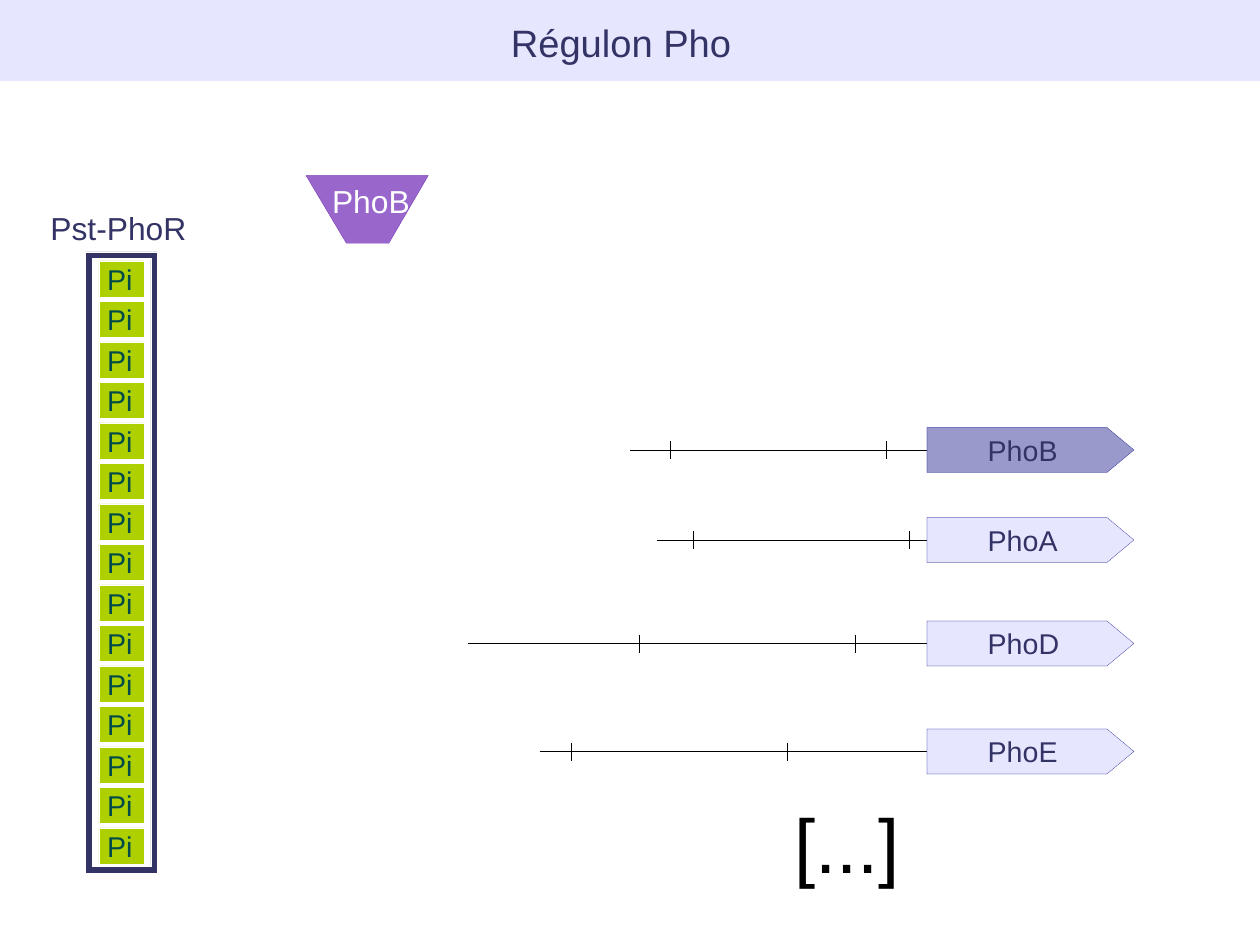
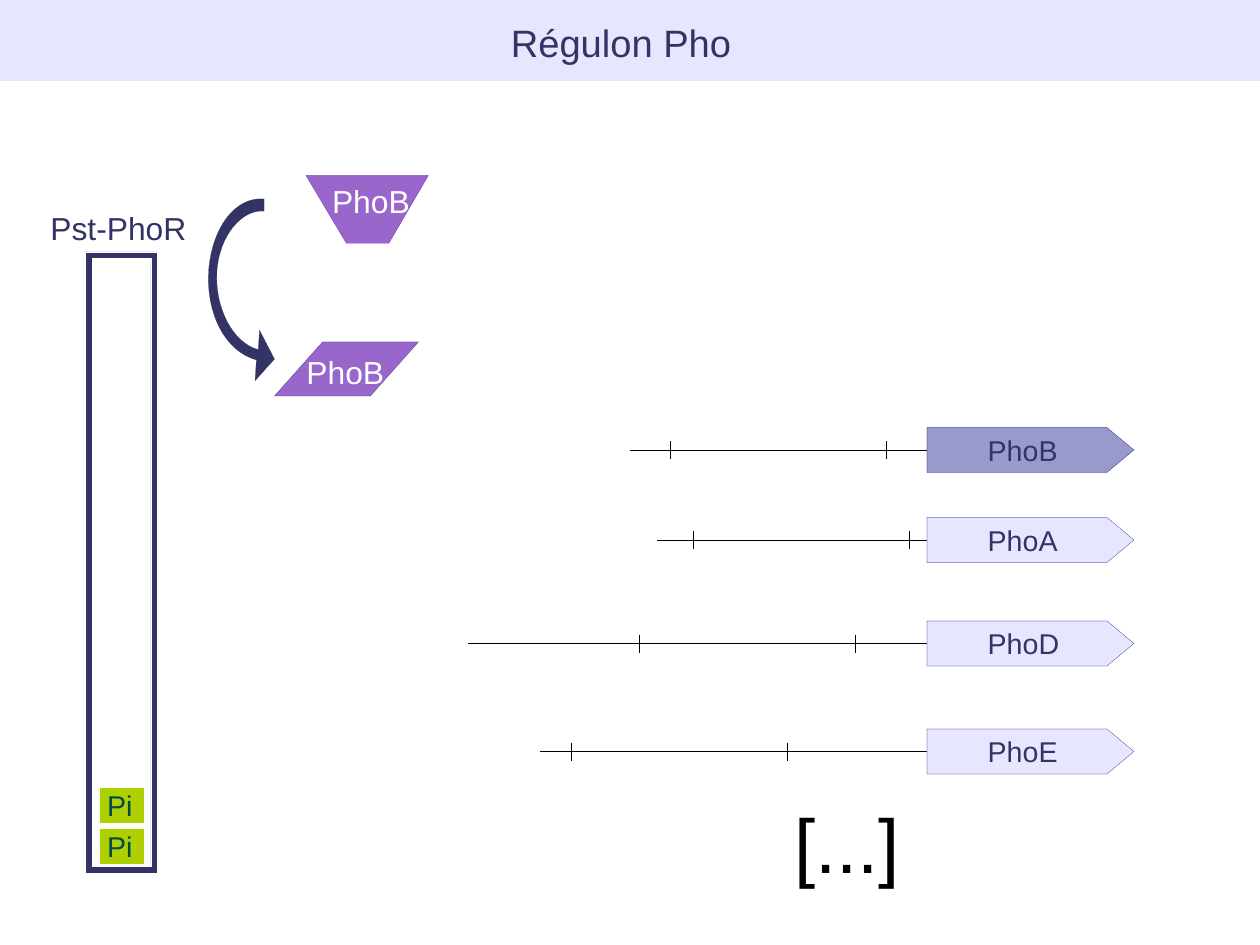
import pptx
import pptx.util
import pptx.dml.color
import pptx.enum.shapes
import pptx.enum.text
import lxml.etree

NAVY, PALE, WHITE, BLACK = "333366", "E6E6FF", "FFFFFF", "000000"
VIOLET, PLUM, LIME, TEAL = "9966CC", "5E11A6", "AECF00", "004A4A"
BLUE, DUSK = "000080", "9999CC"
KIND = pptx.enum.shapes.MSO_SHAPE
ALIGN = pptx.enum.text.PP_ALIGN
ANCHOR = pptx.enum.text.MSO_ANCHOR
HAIR = pptx.util.Pt(0.1)
NS = "{http://schemas.openxmlformats.org/drawingml/2006/main}"


def hue(code):
    return pptx.dml.color.RGBColor.from_string(code)


def dress(shape, text, size, ink, fill=None, edge=None, pad=(0, 0, 0, 0),
          wrap=True, anchor=ANCHOR.MIDDLE, align=ALIGN.LEFT):
    if fill:
        shape.shadow.inherit = False
        shape.fill.solid()
        shape.fill.fore_color.rgb = hue(fill)
    if edge:
        shape.line.color.rgb = hue(edge)
        shape.line.width = HAIR
    if text:
        frame = shape.text_frame
        frame.text = text
        frame.word_wrap = wrap
        frame.vertical_anchor = anchor
        frame.margin_left, frame.margin_top, frame.margin_right, frame.margin_bottom = [
            round(gap * col) for gap in pad]
        line = frame.paragraphs[0]
        line.alignment = align
        font = line.runs[0].font
        font.name, font.size = "Arial", pptx.util.Pt(size)
        font.color.rgb = hue(ink)


deck = pptx.Presentation()
deck.slide_width = pptx.util.Cm(28)
deck.slide_height = pptx.util.Cm(21)
col = deck.slide_width / 28
row = deck.slide_height / 21

plan = deck.slide_layouts.get_by_name("Title Only")
band = plan.placeholders[0]
band.left, band.top, band.width, band.height = 0, 0, deck.slide_width, round(1.8 * row)
band.fill.solid()
band.fill.fore_color.rgb = hue(PALE)
band.text_frame.auto_size = pptx.enum.text.MSO_AUTO_SIZE.NONE

genes = [
    ("PhoB", 10, 14, 14.9, DUSK),
    ("PhoA", 12, 14.6, 15.4, PALE),
    ("PhoD", 14.3, 10.4, 14.2, PALE),
    ("PhoE", 16.7, 12, 12.7, PALE),
]
gene_x, gene_w, span, tick = 20.6, 4.6, 4.8, 0.2
cup = [(6.8, 3.9), (9.52, 3.9), (8.64, 5.41), (7.7, 5.41)]
bend = [
    [(5.74, 7.77)],
    [(5.18, 7.62), (4.78, 6.86), (4.82, 6.05)],
    [(4.87, 5.23), (5.38, 4.65), (5.87, 4.69)],
    [(5.87, 4.42)],
    [(5.23, 4.37), (4.72, 5.05), (4.64, 5.99)],
    [(4.57, 6.93), (4.98, 7.8), (5.7, 8)],
    [(5.67, 8.46)],
    [(6.1, 7.98)],
    [(5.77, 7.34)],
]
curve = []
for part in bend:
    if len(part) == 1:
        curve += part
        continue
    knots = [curve[-1]] + part
    for step in range(1, 17):
        t = step / 16
        mix = [(1 - t) ** 3, 3 * t * (1 - t) ** 2, 3 * t * t * (1 - t), t ** 3]
        curve.append(tuple(sum(m * k[axis] for m, k in zip(mix, knots)) for axis in (0, 1)))

slots = 15
for first, active in [(0, False), (slots - 2, True)]:
    slide = deck.slides.add_slide(plan)
    shapes = slide.shapes
    dress(shapes.title, "Régulon Pho", 24, NAVY, pad=(0, 0.08, 0.4, 0), align=ALIGN.CENTER)

    for name, mid, start, site, fill in genes:
        lines = [(start, mid, gene_x, mid)]
        lines += [(x, mid - tick, x, mid + tick) for x in (site, site + span)]
        for x1, y1, x2, y2 in lines:
            rule = shapes.add_connector(
                pptx.enum.shapes.MSO_CONNECTOR.STRAIGHT,
                round(x1 * col), round(y1 * row), round(x2 * col), round(y2 * row))
            rule.line.color.rgb = hue(BLACK)
            rule.line.width = HAIR
            lxml.etree.SubElement(rule._element.spPr, NS + "effectLst")
        gene = shapes.add_shape(KIND.PENTAGON, round(gene_x * col), round((mid - 0.5) * row),
                                round(gene_w * col), round(row))
        gene.adjustments[0] = 0.6
        dress(gene, name, 18, NAVY, fill, BLUE, (1.35, 0, 0, 0))

    for text, size, ink, x, y, w, h in [
        ("[...]", 48, BLACK, 17.4, 17.6, 4, 2.16),
        ("Pst-PhoR", 20, NAVY, 0.87, 4.5, 4, 1.05),
    ]:
        label = shapes.add_textbox(round(x * col), round(y * row), round(w * col), round(h * row))
        dress(label, text, size, ink, pad=(0.25, 0.13, 0, 0.13), anchor=ANCHOR.TOP)

    pore = shapes.add_shape(KIND.FRAME, round(1.9 * col), round(5.6 * row),
                            round(1.6 * col), round(13.8 * row))
    pore.adjustments[0] = 0.09
    dress(pore, "", 18, NAVY, NAVY, WHITE)
    for slot in range(first, slots):
        ion = shapes.add_shape(KIND.RECTANGLE, round(2.2 * col), round((5.8 + 0.9 * slot) * row),
                               round(col), round(0.8 * row))
        dress(ion, "Pi", 18, TEAL, LIME, WHITE, (0.18, 0, 0, 0))

    forms = [(cup, "PhoB", VIOLET, PLUM)]
    if active:
        forms.append((curve, "", NAVY, NAVY))
        bound = shapes.add_shape(KIND.PARALLELOGRAM, round(6.1 * col), round(7.6 * row),
                                 round(3.2 * col), round(1.2 * row))
        bound.adjustments[0] = 0.89
        dress(bound, "PhoB", 20, WHITE, VIOLET, NAVY, (0, 0.12, 0, 0))
    for points, text, fill, edge in forms:
        spots = [(round(x * col), round(y * row)) for x, y in points]
        pen = shapes.build_freeform(*spots[0])
        pen.add_line_segments(spots[1:], close=True)
        dress(pen.convert_to_shape(), text, 20, WHITE, fill, edge,
              (0.58, 0.13, 0, 0), anchor=ANCHOR.TOP)

deck.save("out.pptx")
